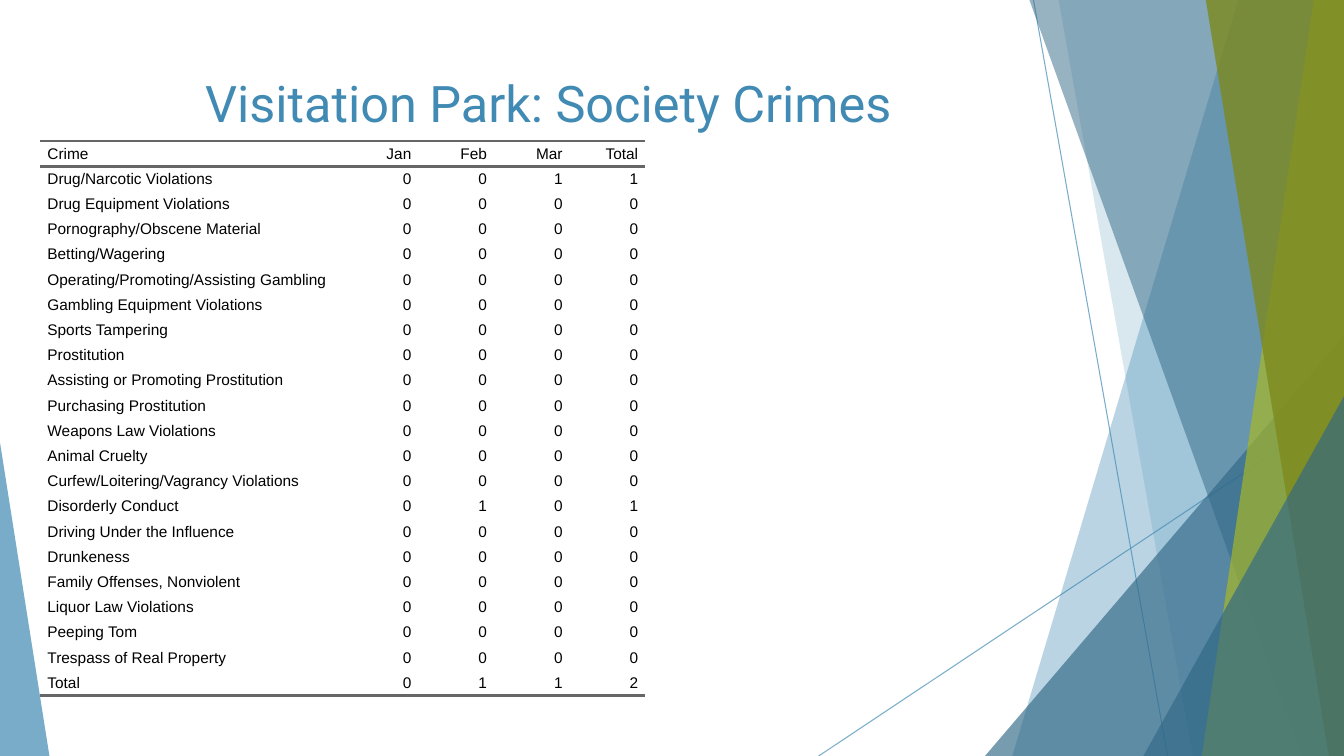
import dataclasses

import lxml.etree
import pptx
import pptx.dml.color
import pptx.enum.shapes
import pptx.enum.text
import pptx.oxml.ns
import pptx.util

Inches = pptx.util.Inches
Pt = pptx.util.Pt
RGBColor = pptx.dml.color.RGBColor
qn = pptx.oxml.ns.qn

BLUE = RGBColor(0x41, 0x8A, 0xB3)
DARK_BLUE = RGBColor(0x31, 0x68, 0x86)
LIME = RGBColor(0xA6, 0xB7, 0x27)
OLIVE = RGBColor(0x7D, 0x89, 0x1D)
RULE_GRAY = RGBColor(0x66, 0x66, 0x66)
BLACK = RGBColor(0, 0, 0)

WIDTH, HEIGHT = 13.33, 7.5
ROW_HEIGHT = 0.25
CELL_INDENT = 0.07
COLUMN_WIDTHS = [3, 0.75, 0.75, 0.75, 0.75]
NO_TABLE_STYLE = "{2D5ABB26-0587-4C30-8999-92F81FD0307C}"


@dataclasses.dataclass
class Ray:
    start: tuple[float, float]
    end: tuple[float, float]


@dataclasses.dataclass
class Band:
    top_left: float
    bottom_left: float
    color: RGBColor
    opacity: int


@dataclasses.dataclass
class Wedge:
    left: float
    top: float
    width: float
    apex: float
    color: RGBColor
    opacity: int


RAYS = [Ray((10.25, 0), (11.58, HEIGHT)), Ray((WIDTH, 4.03), (8.12, HEIGHT))]
FACETS = [
    Band(12.28, 10.04, BLUE, 36),
    Band(10.5, 11.83, BLUE, 20),
    Wedge(9.77, 3.33, 3.56, 1, DARK_BLUE, 66),
    Band(10.21, 12.91, DARK_BLUE, 50),
    Band(13.03, 11.92, LIME, 70),
    Band(11.96, 13.18, OLIVE, 80),
    Wedge(11.34, 3.93, 1.99, 1, DARK_BLUE, 66),
    Wedge(0, 4.39, 0.49, 0, BLUE, 70),
]

MONTHS = ["Jan", "Feb", "Mar"]
CRIMES = [
    "Drug/Narcotic Violations",
    "Drug Equipment Violations",
    "Pornography/Obscene Material",
    "Betting/Wagering",
    "Operating/Promoting/Assisting Gambling",
    "Gambling Equipment Violations",
    "Sports Tampering",
    "Prostitution",
    "Assisting or Promoting Prostitution",
    "Purchasing Prostitution",
    "Weapons Law Violations",
    "Animal Cruelty",
    "Curfew/Loitering/Vagrancy Violations",
    "Disorderly Conduct",
    "Driving Under the Influence",
    "Drunkeness",
    "Family Offenses, Nonviolent",
    "Liquor Law Violations",
    "Peeping Tom",
    "Trespass of Real Property",
]
REPORTED = {"Drug/Narcotic Violations": [0, 0, 1], "Disorderly Conduct": [0, 1, 0]}


def set_opacity(element, opacity: int) -> None:
    color = next(element.iter(qn("a:srgbClr")))
    lxml.etree.SubElement(color, qn("a:alpha"), val=str(opacity * 1000))


def draw_ray(shapes, ray: Ray) -> None:
    line = shapes.add_connector(
        pptx.enum.shapes.MSO_CONNECTOR.STRAIGHT,
        *(Inches(value) for value in ray.start + ray.end),
    )
    line.line.color.rgb = BLUE
    line.line.width = Pt(0.75)
    properties = line.element.find(qn("p:spPr"))
    set_opacity(properties, 70)
    lxml.etree.SubElement(properties, qn("a:effectLst"))


def draw_facet(shapes, facet: Band | Wedge) -> None:
    if isinstance(facet, Band):
        outline = shapes.build_freeform(Inches(facet.top_left), 0)
        corners = [(WIDTH, 0), (WIDTH, HEIGHT), (facet.bottom_left, HEIGHT)]
        outline.add_line_segments([(Inches(x), Inches(y)) for x, y in corners])
        shape = outline.convert_to_shape()
    else:
        shape = shapes.add_shape(
            pptx.enum.shapes.MSO_SHAPE.ISOSCELES_TRIANGLE,
            Inches(facet.left),
            Inches(facet.top),
            Inches(facet.width),
            Inches(HEIGHT - facet.top),
        )
        shape.adjustments[0] = facet.apex
    shape.shadow.inherit = False
    shape.fill.solid()
    shape.fill.fore_color.rgb = facet.color
    shape.line.fill.background()
    set_opacity(shape.element.find(qn("p:spPr")), facet.opacity)


def add_rule(cell, edge: str) -> None:
    properties = cell._tc.get_or_add_tcPr()
    rule = lxml.etree.SubElement(properties, qn(edge), w=str(Pt(2)))
    fill = lxml.etree.SubElement(rule, qn("a:solidFill"))
    lxml.etree.SubElement(fill, qn("a:srgbClr"), val=str(RULE_GRAY))


def fill_cell(cell, text: str, is_count: bool, edges: list[str]) -> None:
    for edge in edges:
        add_rule(cell, edge)
    cell.fill.background()
    cell.margin_left = cell.margin_right = cell.margin_top = cell.margin_bottom = 0
    cell.vertical_anchor = pptx.enum.text.MSO_ANCHOR.MIDDLE
    cell.text = text
    paragraph = cell.text_frame.paragraphs[0]
    align = pptx.enum.text.PP_ALIGN
    paragraph.alignment = align.RIGHT if is_count else align.LEFT
    paragraph.space_before = paragraph.space_after = Pt(5)
    paragraph.font.name = "Arial"
    paragraph.font.size = Pt(11)
    paragraph.font.color.rgb = BLACK
    properties = paragraph._p.get_or_add_pPr()
    for side in ("marL", "marR"):
        properties.set(side, str(Inches(CELL_INDENT)))
    properties.set("indent", "0")


def draw_crime_table(shapes) -> None:
    counts = [REPORTED.get(crime, [0] * len(MONTHS)) for crime in CRIMES]
    month_totals = [sum(month) for month in zip(*counts)]
    rows = [["Crime", *MONTHS, "Total"]]
    for label, months in zip(CRIMES + ["Total"], counts + [month_totals]):
        rows.append([label, *months, sum(months)])
    frame = shapes.add_table(
        len(rows), len(COLUMN_WIDTHS), Inches(0.4), Inches(1.4),
        Inches(sum(COLUMN_WIDTHS)), Inches(ROW_HEIGHT * len(rows)),
    )
    table = frame.table
    table.first_row = table.horz_banding = False
    next(frame.element.iter(qn("a:tableStyleId"))).text = NO_TABLE_STYLE
    for column, width in zip(table.columns, COLUMN_WIDTHS):
        column.width = Inches(width)
    rules = {0: ["a:lnT", "a:lnB"], len(rows) - 1: ["a:lnB"]}
    for row_index, row in enumerate(rows):
        table.rows[row_index].height = Inches(ROW_HEIGHT)
        for column_index, value in enumerate(row):
            cell = table.cell(row_index, column_index)
            fill_cell(cell, str(value), column_index > 0, rules.get(row_index, []))


def place_title(shapes) -> None:
    title = shapes.title
    title.left, title.top = Inches(0.74), Inches(0.67)
    title.width, title.height = Inches(9.4), Inches(1.44)
    title.text_frame.text = "Visitation Park: Society Crimes"
    title.text_frame.auto_size = pptx.enum.text.MSO_AUTO_SIZE.NONE
    title.text_frame.vertical_anchor = pptx.enum.text.MSO_ANCHOR.TOP
    heading = title.text_frame.paragraphs[0]
    heading.alignment = pptx.enum.text.PP_ALIGN.CENTER
    heading.font.name = "Roboto"
    heading.font.size = Pt(36)
    heading.font.color.rgb = BLUE
    shapes.element.append(title.element)


presentation = pptx.Presentation()
presentation.slide_width = Inches(WIDTH)
presentation.slide_height = Inches(HEIGHT)
slide = presentation.slides.add_slide(presentation.slide_layouts[5])
for ray in RAYS:
    draw_ray(slide.shapes, ray)
for facet in FACETS:
    draw_facet(slide.shapes, facet)
draw_crime_table(slide.shapes)
place_title(slide.shapes)
presentation.save("out.pptx")
